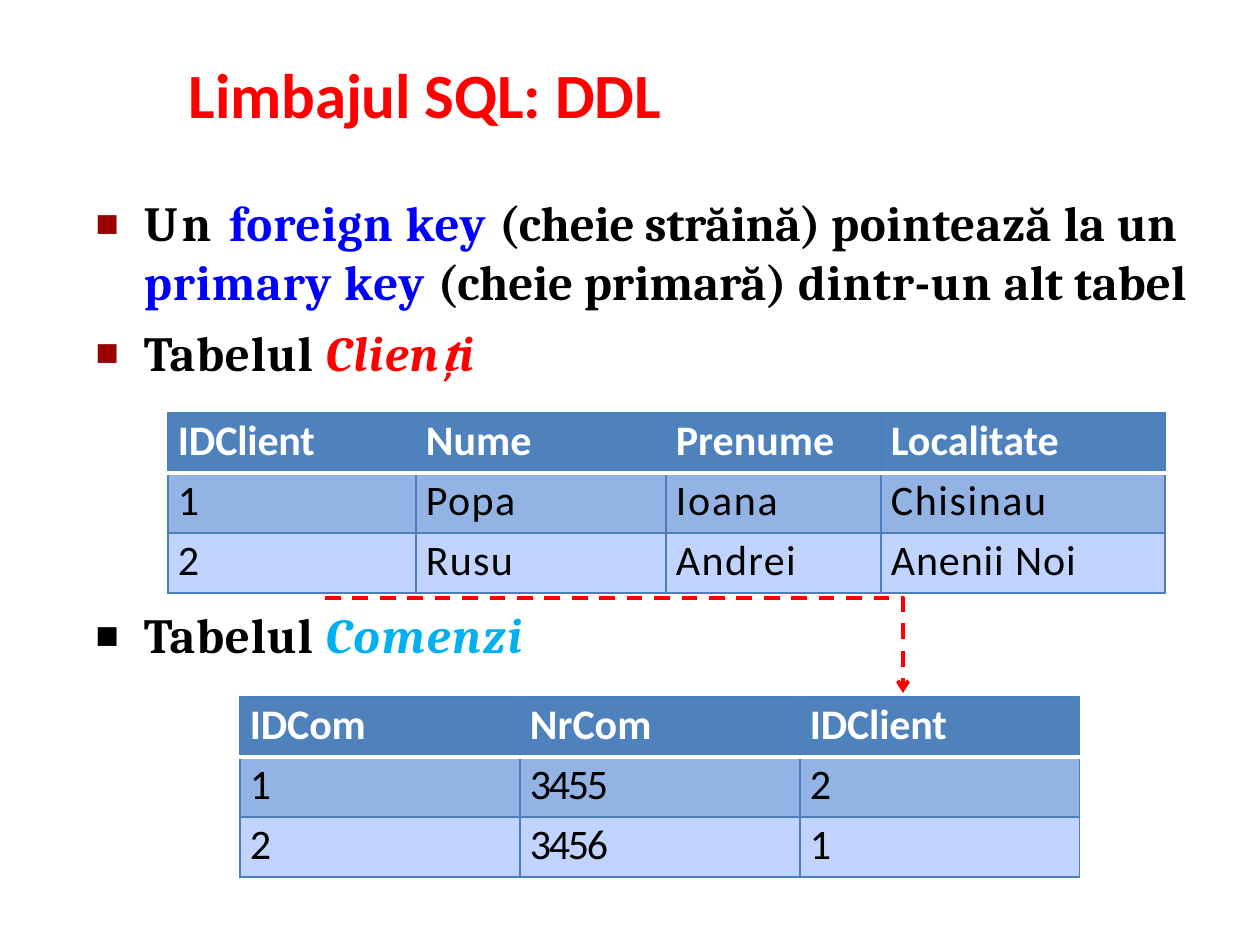
from lxml import etree
from pptx import Presentation
from pptx import util as u
from pptx.dml.color import RGBColor
from pptx.enum import dml, shapes, text
from pptx.oxml.ns import qn

SCALE = 914400 / 126
COLORS = {
    "black": "000000", "white": "FFFFFF", "red": "FF0000", "blue": "0000FF",
    "sky": "00B0F0", "maroon": "9A0000", "header": "4F81BD",
    "odd": "93B3E5", "even": "C0D4FF", "border": "4B7EBC",
}


def px(value):
    return u.Emu(round(value * SCALE))


def write(paragraph, words, font="Cambria", size=28, color="black", bold=True, italic=False, spacing=0):
    run = paragraph.add_run()
    run.text = words
    run.font.name = font
    run.font.size = u.Pt(size)
    run.font.bold = bold
    run.font.italic = italic
    run.font.color.rgb = RGBColor.from_string(COLORS[color])
    run.font._element.set("spc", str(round(spacing * 100)))


deck = Presentation()
deck.slide_width, deck.slide_height = px(1260), px(945)
slide = deck.slides.add_slide(deck.slide_layouts[6])

bullets = [
    ("maroon", [
        ("Un ", "black", 2.1, False), ("foreign ", "blue", 0.5, False), ("key ", "blue", 0.7, False),
        ("(cheie străină) ", "black", -0.1, False), ("pointează ", "black", 0.4, False),
        ("la ", "black", 0.3, False), ("un ", "black", 0.1, False),
        ("primary ", "blue", 0.5, False), ("key ", "blue", 0.7, False),
        ("(cheie ", "black", -0.1, False), ("primară) ", "black", 0.1, False),
        ("dintr-un ", "black", 0.5, False), ("alt tabel", "black", 0.1, False),
    ]),
    ("maroon", [("Tabelul ", "black", 0.5, False), ("Clienți", "red", 0.8, True)]),
    ("black", [("Tabelul ", "black", 0.5, False), ("Comenzi", "sky", 1.1, True)]),
]
blocks = [
    ((94, 53, 662, 78), []),
    ((94, 190, 1123, 193), bullets[:2]),
    ((94, 602, 504, 61), bullets[2:]),
]
frames = []
for place, items in blocks:
    frame = slide.shapes.add_textbox(*map(px, place)).text_frame
    frame.word_wrap = True
    frame.margin_left = frame.margin_right = frame.margin_bottom = 0
    frame.margin_top = px(3)
    frames.append(frame)
    for number, (marker, runs) in enumerate(items):
        paragraph = frame.add_paragraph() if number else frame.paragraphs[0]
        props = paragraph._p.get_or_add_pPr()
        props.set("marL", str(px(50)))
        props.set("indent", str(-px(48)))
        tint = etree.SubElement(props, qn("a:buClr"))
        etree.SubElement(tint, qn("a:srgbClr"), val=COLORS[marker])
        etree.SubElement(props, qn("a:buSzPct"), val="75000")
        etree.SubElement(props, qn("a:buFont"), typeface="Arial")
        etree.SubElement(props, qn("a:buChar"), char="◼")
        if number:
            paragraph.space_before = u.Pt(7)
        for words, color, spacing, italic in runs:
            write(paragraph, words, color=color, spacing=spacing, italic=italic)

heading = frames[0]
heading.vertical_anchor = text.MSO_ANCHOR.MIDDLE
heading.paragraphs[0].alignment = text.PP_ALIGN.CENTER
write(heading.paragraphs[0], "Limbajul SQL: ", font="Calibri", size=36, color="red", spacing=-0.1)
write(heading.paragraphs[0], "DDL", font="Calibri", size=36, color="red")

tables = [
    (168, 413, [248, 250, 215, 284], [
        [("IDClient", -0.1), ("Nume", 0), ("Prenume", 0), ("Localitate", 0)],
        [("1", 0), ("Popa", 0.8), ("Ioana", 1), ("Chisinau", 0.9)],
        [("2", 0), ("Rusu", 0.7), ("Andrei", 0.8), ("Anenii Noi", 0.5)],
    ]),
    (240, 697, [280, 280, 280], [
        [("IDCom", -0.1), ("NrCom", 0), ("IDClient", -0.1)],
        [("1", 0), ("3455", -1.3), ("2", 0)],
        [("2", 0), ("3456", -1.3), ("1", 0)],
    ]),
]
for left, top, widths, records in tables:
    table = slide.shapes.add_table(
        len(records), len(widths), px(left), px(top), px(sum(widths)), px(60 * len(records))
    ).table
    for column, width in zip(table.columns, widths):
        column.width = px(width)
    for row, record in enumerate(records):
        table.rows[row].height = px(60)
        for column, (words, spacing) in enumerate(record):
            cell = table.cell(row, column)
            cell.margin_left = px(10)
            cell.margin_right = cell.margin_bottom = 0
            cell.margin_top = px(3)
            cell.fill.solid()
            cell.fill.fore_color.rgb = RGBColor.from_string(COLORS[["header", "odd", "even"][row]])
            write(cell.text_frame.paragraphs[0], words, font="Calibri", size=24,
                  color="black" if row else "white", bold=row == 0, spacing=spacing)
            for order, side in enumerate(["lnL", "lnR", "lnT", "lnB"]):
                divider = (row, side) in [(0, "lnB"), (1, "lnT")]
                edge = etree.Element(qn("a:" + side), w=str(u.Pt(2 if divider else 0.75)))
                paint = etree.SubElement(edge, qn("a:solidFill"))
                etree.SubElement(paint, qn("a:srgbClr"), val=COLORS["white" if divider else "border"])
                cell._tc.get_or_add_tcPr().insert(order, edge)

key_link = slide.shapes.add_connector(
    shapes.MSO_CONNECTOR.ELBOW, px(325), px(598), px(903), px(693)
)
key_link.line.color.rgb = RGBColor.from_string(COLORS["red"])
key_link.line.width = u.Pt(2.25)
key_link.line.dash_style = dml.MSO_LINE.DASH
etree.SubElement(key_link.line._get_or_add_ln(), qn("a:tailEnd"), type="arrow")
link_props = key_link._element.spPr
etree.SubElement(link_props, qn("a:effectLst"))
bend = link_props.find(qn("a:prstGeom")).find(qn("a:avLst"))
etree.SubElement(bend, qn("a:gd"), name="adj1", fmla="val 100000")

deck.save("out.pptx")
